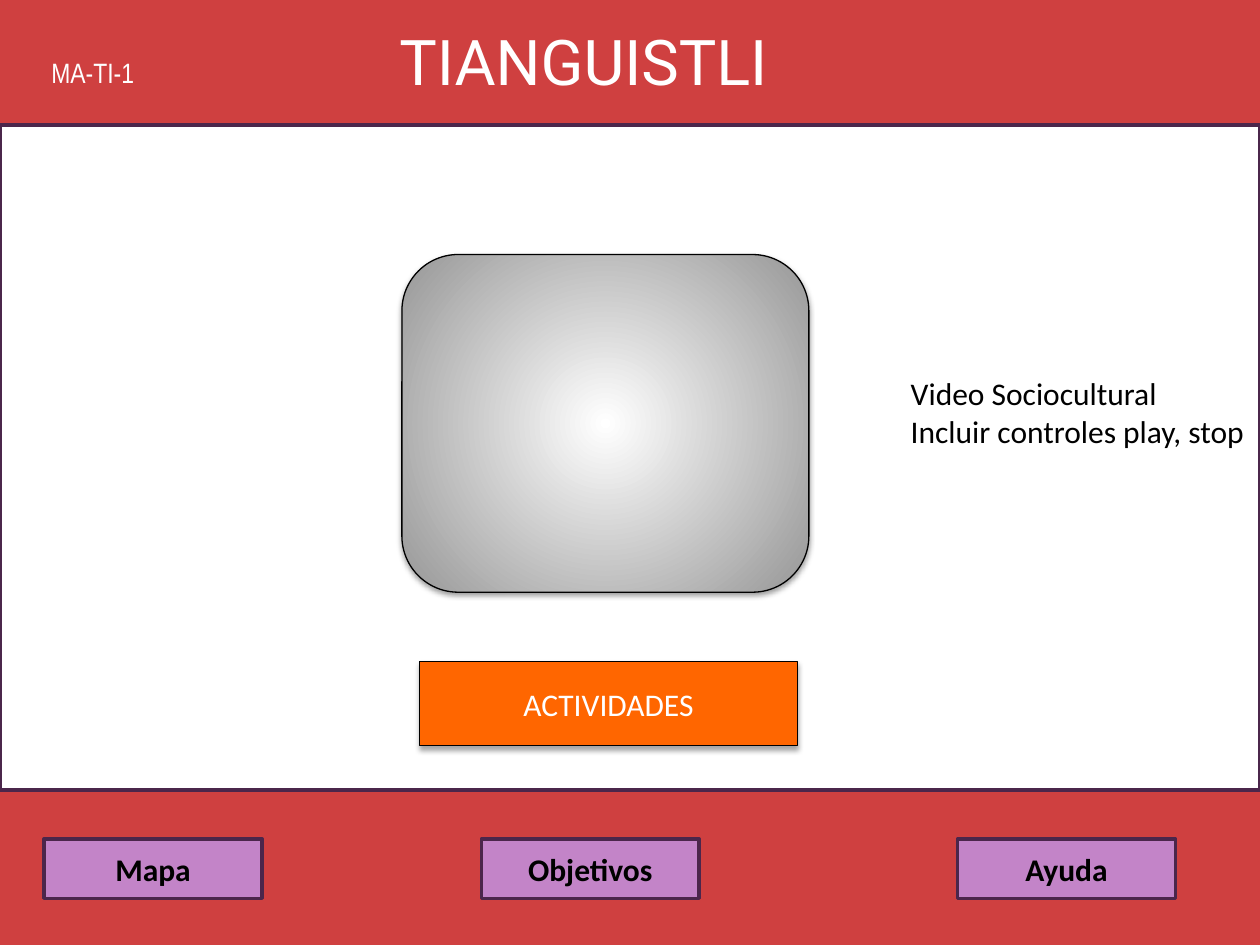
from dataclasses import dataclass
from typing import Optional

from lxml import etree
from pptx import Presentation
from pptx.dml.color import RGBColor
from pptx.enum import shapes, text
from pptx.oxml import ns
from pptx.util import Inches, Pt

COLORS = {
    "background": "CF4040",
    "white": "FFFFFF",
    "black": "000000",
    "plum": "4B264B",
    "lilac": "C384C8",
    "orange": "FF6600",
    "gray": "979797",
}


@dataclass
class Shadow:
    opacity: int
    distance: float
    blur: float = 3.1


@dataclass
class Box:
    left: float
    top: float
    width: float
    height: float
    fill: str = "white"
    line: str = "plum"
    line_width: float = 2
    label: str = ""
    label_color: str = "black"
    bold: bool = False
    rounded: bool = False
    shadow: Optional[Shadow] = None


@dataclass
class Caption:
    left: float
    top: float
    width: float
    height: float
    lines: tuple[str, ...]
    size: int
    font: str
    color: str
    wrap: bool = False


def rgb(name: str) -> RGBColor:
    return RGBColor.from_string(COLORS[name])


def format_font(p, size: int, name: str, color: str, bold: bool = False) -> None:
    p.font.size = Pt(size)
    p.font.name = name
    p.font.bold = bold
    p.font.color.rgb = rgb(color)


def add_shadow(sp, shadow: Shadow) -> None:
    effects = sp._element.spPr.find(ns.qn("a:effectLst"))
    outer = etree.SubElement(
        effects, ns.qn("a:outerShdw"), blurRad=str(Pt(shadow.blur)),
        dist=str(Pt(shadow.distance)), dir="5400000", rotWithShape="0")
    color = etree.SubElement(outer, ns.qn("a:srgbClr"), val=COLORS["black"])
    etree.SubElement(color, ns.qn("a:alpha"), val=str(shadow.opacity * 1000))


def set_radial_fill(sp, center: str, edge: str) -> None:
    sp.fill.gradient()
    for stop, color in zip(sp.fill.gradient_stops, (center, edge)):
        stop.color.rgb = rgb(color)
    gradient = sp._element.spPr.find(ns.qn("a:gradFill"))
    gradient.remove(gradient.find(ns.qn("a:lin")))
    radial = etree.Element(ns.qn("a:path"), path="circle")
    etree.SubElement(radial, ns.qn("a:fillToRect"),
                     l="50000", t="50000", r="50000", b="50000")
    gradient.find(ns.qn("a:gsLst")).addnext(radial)


def add_box(slide, box: Box):
    kind = shapes.MSO_SHAPE.ROUNDED_RECTANGLE if box.rounded else shapes.MSO_SHAPE.RECTANGLE
    sp = slide.shapes.add_shape(kind, Inches(box.left), Inches(box.top),
                                Inches(box.width), Inches(box.height))
    sp.fill.solid()
    sp.fill.fore_color.rgb = rgb(box.fill)
    sp.line.color.rgb = rgb(box.line)
    sp.line.width = Pt(box.line_width)
    sp.shadow.inherit = False
    if box.shadow:
        add_shadow(sp, box.shadow)
    if box.label:
        tf = sp.text_frame
        tf.vertical_anchor = text.MSO_ANCHOR.MIDDLE
        p = tf.paragraphs[0]
        p.text = box.label
        p.alignment = text.PP_ALIGN.CENTER
        format_font(p, 18, "Calibri", box.label_color, box.bold)
    return sp


def fill_caption(sp, caption: Caption) -> None:
    """Place a text box or placeholder and write the caption in it."""
    sp.left, sp.top = Inches(caption.left), Inches(caption.top)
    sp.width, sp.height = Inches(caption.width), Inches(caption.height)
    tf = sp.text_frame
    tf.text = "\n".join(caption.lines)
    tf.word_wrap = caption.wrap
    tf.auto_size = text.MSO_AUTO_SIZE.SHAPE_TO_FIT_TEXT
    tf.vertical_anchor = text.MSO_ANCHOR.TOP
    for p in tf.paragraphs:
        p.alignment = text.PP_ALIGN.LEFT
        format_font(p, caption.size, caption.font, caption.color)


TITLE = Caption(3.07, 0.13, 3.57, 0.71, ("TIANGUISTLI",), 36, "Roboto", "white")
CAPTIONS = [
    Caption(0.31, 0.39, 1.3, 0.37, ("MA-TI-1",), 16, "Arial Narrow", "white", wrap=True),
    Caption(7.13, 2.92, 2.87, 0.71,
            ("Video Sociocultural", "Incluir controles play, stop"),
            18, "Calibri", "black"),
]
PANEL = Box(0, 0.99, 10, 5.28)
VIDEO = Box(3.19, 2.02, 3.23, 2.68, line="black", line_width=0.75,
            rounded=True, shadow=Shadow(38, 1.6))
ACTIVITIES = Box(3.33, 5.25, 3, 0.67, "orange", "black", 0.75,
                 "ACTIVIDADES", "white", shadow=Shadow(35, 1.8))
NAVIGATION = [
    Box(left, 6.66, 1.73, 0.47, "lilac", label=label, bold=True)
    for left, label in ((0.35, "Mapa"), (3.82, "Objetivos"), (7.6, "Ayuda"))
]


def main() -> None:
    prs = Presentation()
    prs.slide_width, prs.slide_height = Inches(10), Inches(7.5)
    slide = prs.slides.add_slide(prs.slide_layouts[5])
    slide.background.fill.solid()
    slide.background.fill.fore_color.rgb = rgb("background")

    fill_caption(slide.shapes.title, TITLE)
    for box in (PANEL, *NAVIGATION, ACTIVITIES):
        add_box(slide, box)
    set_radial_fill(add_box(slide, VIDEO), "white", "gray")
    for caption in CAPTIONS:
        sp = slide.shapes.add_textbox(0, 0, 0, 0)
        fill_caption(sp, caption)
    prs.save("out.pptx")


if __name__ == "__main__":
    main()
